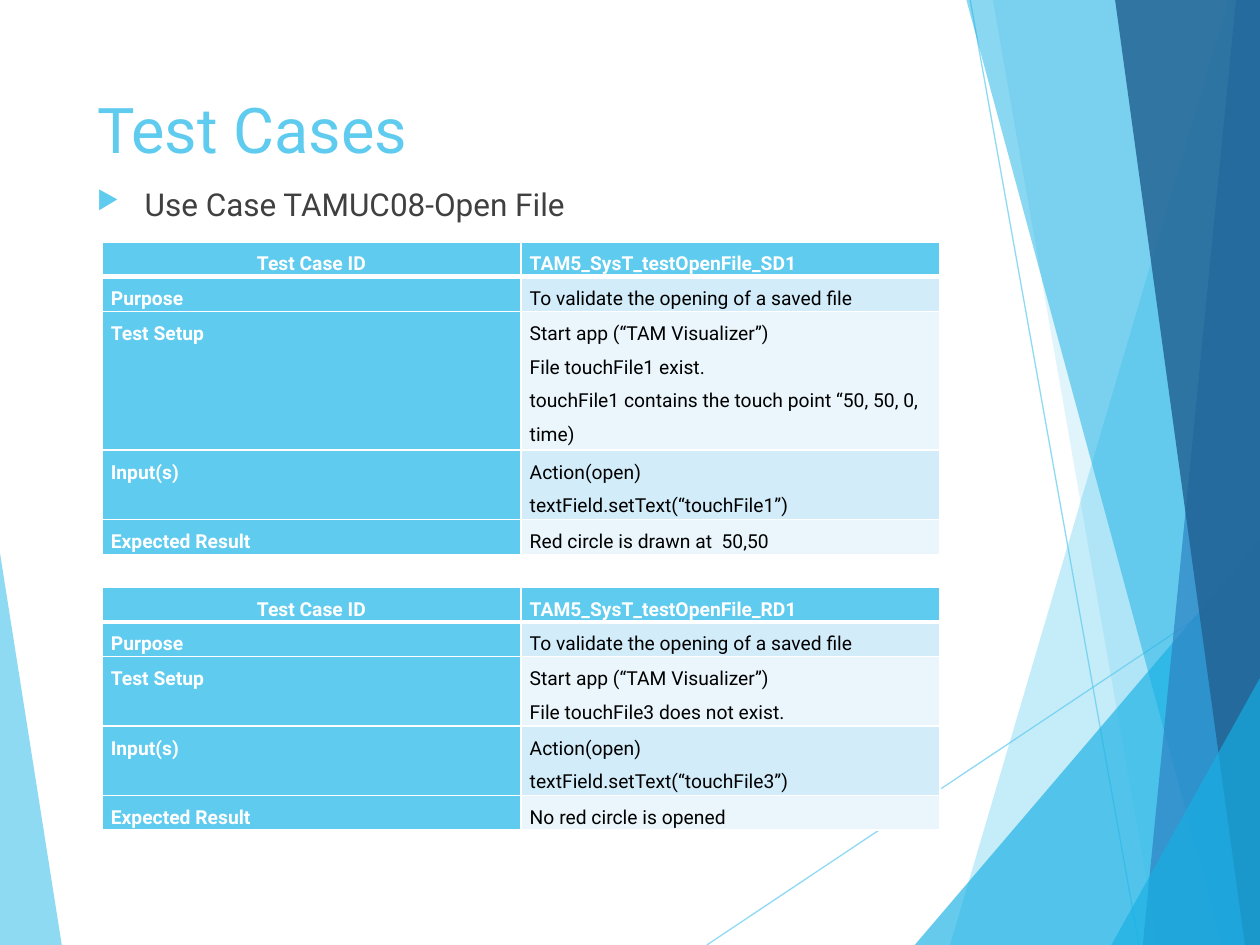
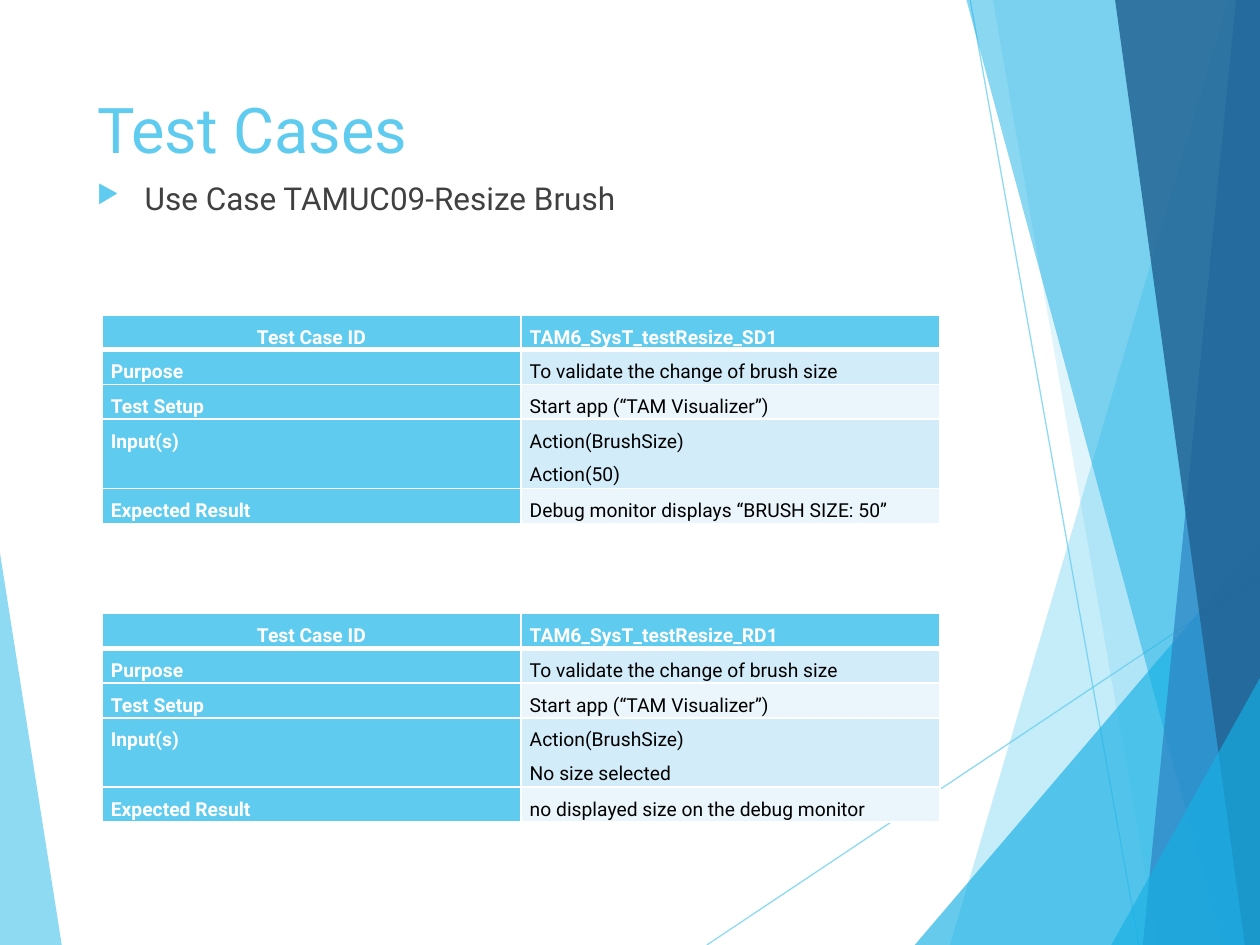
from dataclasses import dataclass

from lxml.etree import SubElement
from pptx import Presentation
from pptx.dml.color import RGBColor
from pptx.enum.shapes import MSO_CONNECTOR
from pptx.enum.text import MSO_ANCHOR, MSO_AUTO_SIZE, PP_ALIGN
from pptx.oxml.ns import qn
from pptx.util import Inches, Pt

# The slide is a grid of 100 columns by 75 rows of square cells.
COLS, ROWS = 100, 75
SLIDE_WIDTH = 10

FONT = "Roboto"
SKY = RGBColor(0x5F, 0xCB, 0xEF)
CYAN = RGBColor(0x17, 0xB0, 0xE4)
BLUE = RGBColor(0x2E, 0x83, 0xC3)
NAVY = RGBColor(0x22, 0x62, 0x92)
BAND_DARK = RGBColor(0xD2, 0xEC, 0xF9)
BAND_LIGHT = RGBColor(0xEA, 0xF6, 0xFC)
WHITE = RGBColor(0xFF, 0xFF, 0xFF)
BLACK = RGBColor(0, 0, 0)
GREY = RGBColor(0x40, 0x40, 0x40)

TEXT_LEFT, TEXT_WIDTH = 6.7, 69.4
TABLE_LEFT, TABLE_COL_WIDTH, LINE_HEIGHT = 8.1, 33.25, 2.6
LABELS = ("Test Case ID", "Purpose", "Test Setup", "Input(s)", "Expected Result")

Point = tuple[float, float]


@dataclass(frozen=True)
class Facet:
    points: tuple[Point, ...]
    color: RGBColor
    opacity: int


@dataclass(frozen=True)
class TestCase:
    """Top row of the table, and one value per label; newlines part paragraphs."""
    top: float
    values: tuple[str, ...]


@dataclass(frozen=True)
class UseCase:
    name: str
    top: float
    tests: tuple[TestCase, ...]


LEFT_FACET = Facet(((0, 43.9), (4.9, ROWS), (0, ROWS)), SKY, 70)
RAYS = (((56.1, ROWS), (COLS, 45.7)), ((77, 0), (90.4, ROWS)))
RIGHT_FACETS = (
    Facet(((97.5, 0), (75.4, ROWS), (COLS, ROWS), (COLS, 0)), SKY, 36),
    Facet(((78.8, 0), (91.9, ROWS), (COLS, ROWS), (COLS, 0)), SKY, 20),
    Facet(((72.6, ROWS), (COLS, 42.9), (COLS, ROWS)), CYAN, 66),
    Facet(((76.7, 0), (97, ROWS), (COLS, ROWS), (COLS, 0)), CYAN, 50),
    Facet(((98.1, 0), (90.7, ROWS), (COLS, ROWS), (COLS, 0)), BLUE, 70),
    Facet(((88.5, 0), (98.8, ROWS), (COLS, ROWS), (COLS, 0)), NAVY, 82),
    Facet(((88.2, ROWS), (COLS, 53.8), (COLS, ROWS)), CYAN, 66),
)

USE_CASES = (
    UseCase("Use Case TAMUC08-Open File", 14.2, (
        TestCase(19.2, (
            "TAM5_SysT_testOpenFile_SD1",
            "To validate the opening of a saved file",
            "Start app (“TAM Visualizer”)\nFile touchFile1 exist.\n"
            "touchFile1 contains the touch point “50, 50, 0, time)",
            "Action(open)\ntextField.setText(“touchFile1”)",
            "Red circle is drawn at  50,50")),
        TestCase(46.6, (
            "TAM5_SysT_testOpenFile_RD1",
            "To validate the opening of a saved file",
            "Start app (“TAM Visualizer”)\nFile touchFile3 does not exist.",
            "Action(open)\ntextField.setText(“touchFile3”)",
            "No red circle is opened")),
    )),
    UseCase("Use Case TAMUC09-Resize Brush", 13.7, (
        TestCase(25, (
            "TAM6_SysT_testResize_SD1",
            "To validate the change of brush size",
            "Start app (“TAM Visualizer”)",
            "Action(BrushSize)\nAction(50)",
            "Debug monitor displays “BRUSH SIZE: 50”")),
        TestCase(48.7, (
            "TAM6_SysT_testResize_RD1",
            "To validate the change of brush size",
            "Start app (“TAM Visualizer”)",
            "Action(BrushSize)\nNo size selected",
            "no displayed size on the debug monitor")),
    )),
)


def cells(count: float) -> int:
    """Length of a number of grid cells."""
    return Inches(count * SLIDE_WIDTH / COLS)


def set_opacity(shape, percent: int) -> None:
    color = shape.element.spPr.find(".//" + qn("a:srgbClr"))
    SubElement(color, qn("a:alpha"), val=str(percent * 1000))


def format_runs(p, size: float, color: RGBColor, bold: bool = False) -> None:
    for r in p.runs:
        r.font.name, r.font.size, r.font.bold = FONT, Pt(size), bold
        r.font.color.rgb = color


def add_facet(slide, facet: Facet) -> None:
    start, *rest = [(cells(x), cells(y)) for x, y in facet.points]
    builder = slide.shapes.build_freeform(*start)
    builder.add_line_segments(rest, close=True)
    sp = builder.convert_to_shape()
    sp.shadow.inherit = False
    sp.fill.solid()
    sp.fill.fore_color.rgb = facet.color
    sp.line.fill.background()
    set_opacity(sp, facet.opacity)


def add_ray(slide, start: Point, end: Point) -> None:
    ray = slide.shapes.add_connector(
        MSO_CONNECTOR.STRAIGHT, *(cells(n) for n in start + end))
    ray.line.color.rgb = SKY
    ray.line.width = Pt(0.75)
    set_opacity(ray, 70)
    SubElement(ray.element.spPr, qn("a:effectLst"))


def add_backdrop(slide) -> None:
    add_facet(slide, LEFT_FACET)
    for start, end in RAYS:
        add_ray(slide, start, end)
    for facet in RIGHT_FACETS:
        add_facet(slide, facet)


def place_title(slide, text: str) -> None:
    title = slide.shapes.title
    title.left, title.top = cells(TEXT_LEFT), cells(6.7)
    title.width, title.height = cells(TEXT_WIDTH), cells(14.4)
    tf = title.text_frame
    tf.text = text
    tf.word_wrap = True
    tf.auto_size = MSO_AUTO_SIZE.NONE
    tf.vertical_anchor = MSO_ANCHOR.TOP
    tf.paragraphs[0].alignment = PP_ALIGN.LEFT
    format_runs(tf.paragraphs[0], 36, SKY)


def add_bullet(slide, text: str, top: float) -> None:
    tf = slide.shapes.add_textbox(
        cells(TEXT_LEFT), cells(top), cells(TEXT_WIDTH), cells(42.4)).text_frame
    tf.text = text
    tf.word_wrap = True
    p = tf.paragraphs[0]
    format_runs(p, 18, GREY)
    pPr = p._p.get_or_add_pPr()
    pPr.set("marL", str(cells(3.8)))
    pPr.set("indent", str(-cells(3.8)))
    SubElement(SubElement(pPr, qn("a:buClr")), qn("a:srgbClr"), val=str(SKY))
    SubElement(pPr, qn("a:buSzPct"), val="80000")
    SubElement(pPr, qn("a:buChar"), char="▶")


def add_borders(cell, top: float, bottom: float) -> None:
    """White borders; call before the fill, which must follow them in the XML."""
    tcPr = cell._tc.get_or_add_tcPr()
    for side, width in (("L", 1), ("R", 1), ("T", top), ("B", bottom)):
        ln = SubElement(tcPr, qn(f"a:ln{side}"), w=str(Pt(width)))
        SubElement(SubElement(ln, qn("a:solidFill")), qn("a:srgbClr"), val=str(WHITE))


def fill_cell(cell, text: str, row: int, is_label: bool) -> None:
    is_strong = is_label or row == 0
    add_borders(cell, top=3 if row == 1 else 1, bottom=3 if row == 0 else 1)
    cell.fill.solid()
    band = BAND_DARK if row % 2 else BAND_LIGHT
    cell.fill.fore_color.rgb = SKY if is_strong else band
    cell.margin_left = cell.margin_right = cells(0.7)
    cell.margin_top = cell.margin_bottom = 0
    cell.text_frame.text = text
    for p in cell.text_frame.paragraphs:
        p.line_spacing = 1.5
        p.alignment = PP_ALIGN.CENTER if is_label and row == 0 else PP_ALIGN.LEFT
        format_runs(p, 11, WHITE if is_strong else BLACK, is_strong)


def add_test_table(slide, test: TestCase) -> None:
    heights = [LINE_HEIGHT * len(value.split("\n")) for value in test.values]
    table = slide.shapes.add_table(
        len(LABELS), 2, cells(TABLE_LEFT), cells(test.top),
        cells(2 * TABLE_COL_WIDTH), cells(sum(heights))).table
    table.horz_banding = False
    for column in table.columns:
        column.width = cells(TABLE_COL_WIDTH)
    for row, (label, value) in enumerate(zip(LABELS, test.values)):
        table.rows[row].height = cells(heights[row])
        fill_cell(table.cell(row, 0), label, row, is_label=True)
        fill_cell(table.cell(row, 1), value, row, is_label=False)


def main() -> None:
    prs = Presentation()
    prs.slide_width, prs.slide_height = cells(COLS), cells(ROWS)
    title_only = prs.slide_layouts.get_by_name("Title Only")
    for use_case in USE_CASES:
        slide = prs.slides.add_slide(title_only)
        add_backdrop(slide)
        place_title(slide, "Test Cases")
        add_bullet(slide, use_case.name, use_case.top)
        for test in use_case.tests:
            add_test_table(slide, test)
    prs.save("out.pptx")


if __name__ == "__main__":
    main()
